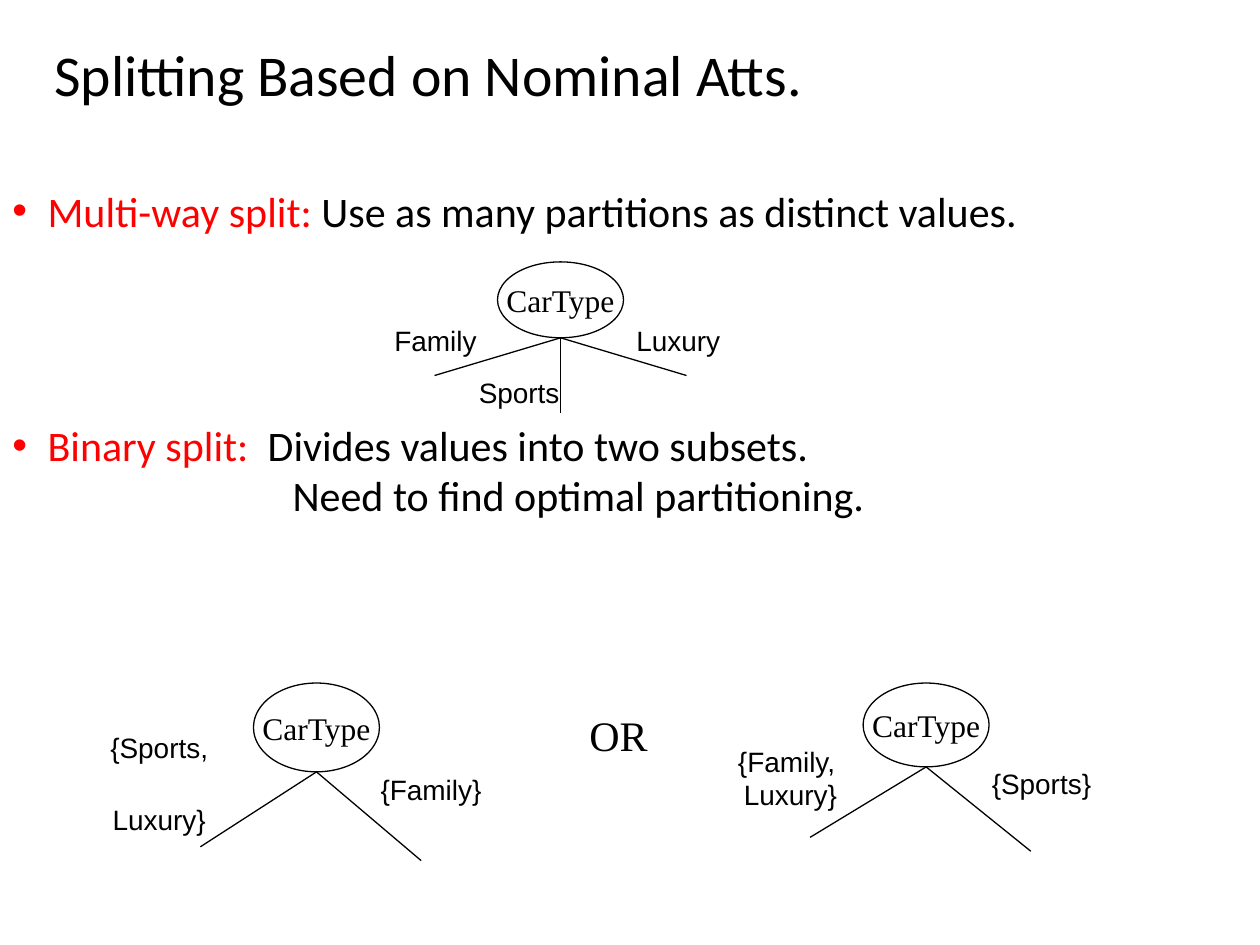
from lxml.etree import SubElement
from pptx import Presentation
from pptx.dml.color import RGBColor
from pptx.enum.shapes import MSO_CONNECTOR, MSO_SHAPE
from pptx.enum.text import MSO_ANCHOR, PP_ALIGN
from pptx.oxml.ns import qn
from pptx.util import Cm, Pt

BLACK = RGBColor(0, 0, 0)
RED = RGBColor(255, 0, 0)
WHITE = RGBColor(255, 255, 255)
BODY_FONT, NODE_FONT, LABEL_FONT = "Calibri", "Times New Roman", "Arial"
NODE_WIDTH = 2.54
BULLET_INDENT = 0.71

# Centre, top and height of the node; branch offsets; labels with left, top, width, height
TREES = [
    (11.3, 5.28, 1.53, [(-2.54, 0.76), (0, 1.52), (2.54, 0.76)],
     [("Family", 7.7, 6.4, 2.16, 0.94),
      ("Sports", 9.4, 7.44, 2.13, 0.94),
      ("Luxury", 12.57, 6.4, 2.21, 0.94)]),
    (18.67, 13.77, 1.69, [(-2.34, 1.42), (2.11, 1.7)],
     [("{Family, \vLuxury}", 14.6, 14.88, 2.67, 1.6),
      ("{Sports}", 19.74, 15.32, 2.51, 0.94)]),
    (6.38, 13.77, 1.79, [(-2.34, 1.51), (2.11, 1.79)],
     [("{Sports, \vLuxury}", 1.9, 14.99, 2.62, 1.6),
      ("{Family}", 7.42, 15.44, 2.54, 0.94)]),
]


def format_runs(paragraph, font=BODY_FONT, size=24, color=BLACK):
    for run in paragraph.runs:
        run.font.name = font
        run.font.size = Pt(size)
        run.font.color.rgb = color


def set_text(shape, text, align=PP_ALIGN.CENTER, **text_format):
    frame = shape.text_frame
    frame.text = text
    frame.vertical_anchor = MSO_ANCHOR.MIDDLE
    frame.word_wrap = False
    for paragraph in frame.paragraphs:
        paragraph.alignment = align
        format_runs(paragraph, **text_format)


def add_label(shapes, text, left, top, width, height, **text_format):
    label = shapes.add_textbox(Cm(left), Cm(top), Cm(width), Cm(height))
    set_text(label, text, **text_format)


def add_branch(shapes, start_x, start_y, offset_x, offset_y):
    branch = shapes.add_connector(
        MSO_CONNECTOR.STRAIGHT, Cm(start_x), Cm(start_y),
        Cm(start_x + offset_x), Cm(start_y + offset_y))
    branch.line.color.rgb = BLACK
    branch.line.width = Pt(0.75)
    SubElement(branch._element.spPr, qn("a:effectLst"))


def add_tree(slide, center, top, height, branches, labels):
    shapes = slide.shapes.add_group_shape().shapes
    node = shapes.add_shape(MSO_SHAPE.OVAL, Cm(center - NODE_WIDTH / 2), Cm(top),
                            Cm(NODE_WIDTH), Cm(height))
    node.shadow.inherit = False
    node.fill.solid()
    node.fill.fore_color.rgb = WHITE
    node.line.color.rgb = BLACK
    node.line.width = Pt(0.75)
    set_text(node, "CarType", font=NODE_FONT, size=18)
    for offset in branches:
        add_branch(shapes, center, top + height, *offset)
    for label in labels:
        add_label(shapes, *label, font=LABEL_FONT, size=16)


def add_title(slide, text):
    title = slide.shapes.title
    title.left, title.top, title.width, title.height = Cm(0.84), Cm(0.43), Cm(24.13), Cm(2.11)
    set_text(title, text, align=PP_ALIGN.LEFT, size=33)
    title.text_frame.word_wrap = True


def write_paragraph(paragraph, parts, indent, bullet=False, space_before=0):
    paragraph.space_before = Pt(space_before)
    properties = paragraph._p.get_or_add_pPr()
    properties.set("marL", str(Cm(indent)))
    if bullet:
        properties.set("indent", str(-Cm(indent)))
        SubElement(properties, qn("a:buFont"), typeface="Arial")
        SubElement(properties, qn("a:buChar"), char="•")
    for text, color in parts:
        run = paragraph.add_run()
        run.text = text
        run.font.name = BODY_FONT
        run.font.size = Pt(24)
        run.font.color.rgb = color


def add_body(slide):
    frame = slide.shapes.add_textbox(Cm(0), Cm(3.61), Cm(25.4), Cm(11.63)).text_frame
    frame.word_wrap = True
    write_paragraph(frame.paragraphs[0],
                    [("Multi-way split:", RED),
                     (" Use as many partitions as distinct values.", BLACK)],
                    BULLET_INDENT, bullet=True)
    # The gap leaves room for the multi-way tree
    write_paragraph(frame.add_paragraph(),
                    [("Binary split:", RED),
                     ("  Divides values into two subsets.", BLACK)],
                    BULLET_INDENT, bullet=True, space_before=105)
    write_paragraph(frame.add_paragraph(),
                    [("Need to find optimal partitioning.", BLACK)], 5.65)


def main():
    presentation = Presentation()
    presentation.slide_width, presentation.slide_height = Cm(25.4), Cm(19.05)
    slide = presentation.slides.add_slide(presentation.slide_layouts[5])

    # Heading and bullets
    add_title(slide, "Splitting Based on Nominal Atts.")
    add_body(slide)

    # Decision trees
    for tree in TREES:
        add_tree(slide, *tree)
    add_label(slide.shapes, "OR", 11.63, 14.17, 1.68, 1.27, font=NODE_FONT, size=24)

    presentation.save("out.pptx")


main()
